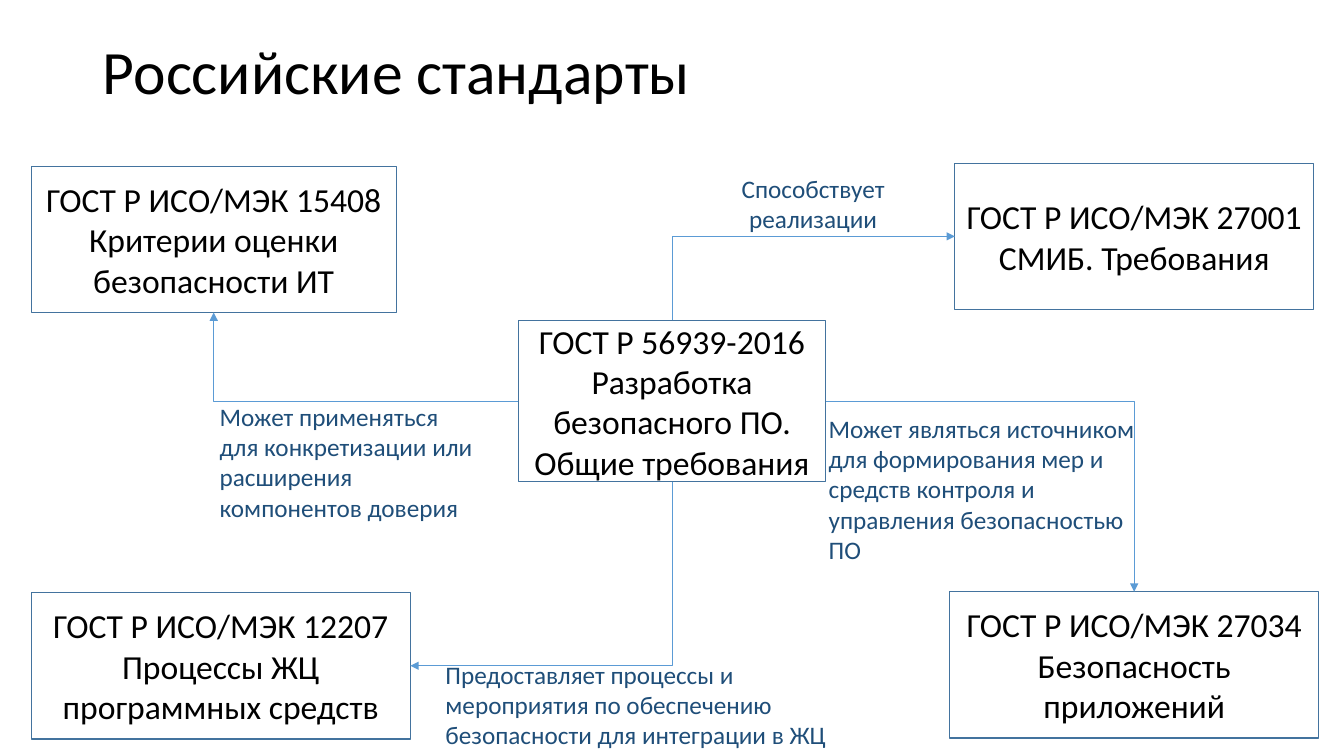
import pptx
import pptx.util
import pptx.dml.color
import pptx.enum.shapes
import pptx.enum.text
import pptx.oxml.ns
import lxml.etree

Inches = pptx.util.Inches
Align = pptx.enum.text.PP_ALIGN
Anchor = pptx.enum.text.MSO_ANCHOR

COLORS = {"text": "000000", "label": "1F4E79", "fill": "FFFFFF",
          "border": "43739E", "arrow": "5B9BD5"}
TITLE = ("Российские стандарты", (0.92, 0.01, 11.5, 1.45))

# name: (left, top, width, height), lines
STANDARDS = {
    "development": ((5.14, 3.18, 3.05, 1.6),
                    ["ГОСТ Р 56939-2016", "Разработка безопасного ПО. Общие требования"]),
    "criteria": ((0.31, 1.65, 3.62, 1.45),
                 ["ГОСТ Р ИСО/МЭК 15408", "Критерии оценки безопасности ИТ"]),
    "management": ((9.47, 1.62, 3.56, 1.45),
                   ["ГОСТ Р ИСО/МЭК 27001", "СМИБ. Требования"]),
    "processes": ((0.31, 5.88, 3.76, 1.45),
                  ["ГОСТ Р ИСО/МЭК 12207", "Процессы ЖЦ программных средств"]),
    "applications": ((9.42, 5.87, 3.66, 1.45),
                     ["ГОСТ Р ИСО/МЭК 27034", "Безопасность приложений"]),
}
# target standard, side left on the central box, side entered on the target
ARROWS = [
    ("criteria", "left", "bottom"),
    ("management", "top", "left"),
    ("applications", "right", "top"),
    ("processes", "bottom", "right"),
]
LABELS = [
    ("Может применяться для конкретизации или расширения компонентов доверия",
     (2.08, 3.93, 2.75, 1.31), Align.LEFT),
    ("Предоставляет процессы и мероприятия по обеспечению безопасности для интеграции в ЖЦ",
     (4.32, 6.49, 4.07, 1.01), Align.LEFT),
    ("Может являться источником для формирования мер и средств контроля "
     "и управления безопасностью ПО",
     (8.12, 4.05, 3.29, 1.62), Align.LEFT),
    ("Способствует реализации", (6.67, 1.67, 2.79, 0.71), Align.CENTER),
]
SIDES = {"left": (0, 0.5), "right": (1, 0.5), "top": (0.5, 0), "bottom": (0.5, 1)}


def rgb(name):
    return pptx.dml.color.RGBColor.from_string(COLORS[name])


def write(shape, lines, size, color, align, anchor, spacing=1.0):
    frame = shape.text_frame
    frame.word_wrap = True
    frame.vertical_anchor = anchor
    for index, line in enumerate(lines):
        para = frame.paragraphs[0] if index == 0 else frame.add_paragraph()
        para.alignment = align
        para.line_spacing = spacing
        span = para.add_run()
        span.text = line
        font = {"name": "Calibri", "size": pptx.util.Pt(size)}
        for key, value in font.items():
            setattr(span.font, key, value)
        span.font.color.rgb = rgb(color)


def add_text(slide, text, place, *style):
    box = slide.shapes.add_textbox(*map(Inches, place))
    write(box, [text], *style)


def add_standard(slide, place, lines):
    box = slide.shapes.add_shape(
        pptx.enum.shapes.MSO_SHAPE.RECTANGLE, *map(Inches, place))
    box.shadow.inherit = False
    box.fill.solid()
    box.fill.fore_color.rgb = rgb("fill")
    box.line.color.rgb = rgb("border")
    box.line.width = pptx.util.Pt(1)
    write(box, lines, 24, "text", Align.CENTER, Anchor.MIDDLE)


def side_point(name, side):
    left, top, width, height = STANDARDS[name][0]
    across, down = SIDES[side]
    return left + across * width, top + down * height


def add_arrow(slide, target, exit_side, entry_side):
    """One-bend arrow; it is turned by 90 degrees when it starts vertically."""
    start = side_point("development", exit_side)
    end = side_point(target, entry_side)
    upright = exit_side in ("top", "bottom")
    if upright:
        middle_x, middle_y = ((a + b) / 2 for a, b in zip(start, end))
        half_x = (end[1] - start[1]) / 2
        half_y = (start[0] - end[0]) / 2
        start = middle_x - half_x, middle_y - half_y
        end = middle_x + half_x, middle_y + half_y
    arrow = slide.shapes.add_connector(
        pptx.enum.shapes.MSO_CONNECTOR.ELBOW, *map(Inches, start + end))
    arrow.line.color.rgb = rgb("arrow")
    arrow.line.width = pptx.util.Pt(0.5)
    qn = pptx.oxml.ns.qn
    properties = arrow._element.spPr
    properties.find(qn("a:prstGeom")).set("prst", "bentConnector2")
    if upright:
        properties.find(qn("a:xfrm")).set("rot", str(90 * 60000))
    lxml.etree.SubElement(properties.find(qn("a:ln")), qn("a:tailEnd"), type="triangle")
    lxml.etree.SubElement(properties, qn("a:effectLst"))


def main():
    deck = pptx.Presentation()
    deck.slide_width, deck.slide_height = Inches(13.33), Inches(7.5)
    slide = deck.slides.add_slide(deck.slide_layouts[6])
    add_text(slide, *TITLE, 44, "text", Align.LEFT, Anchor.MIDDLE, 0.9)
    for place, lines in STANDARDS.values():
        add_standard(slide, place, lines)
    for arrow in ARROWS:
        add_arrow(slide, *arrow)
    for text, place, align in LABELS:
        add_text(slide, text, place, 18, "label", align, Anchor.TOP)
    deck.save("out.pptx")


if __name__ == "__main__":
    main()
